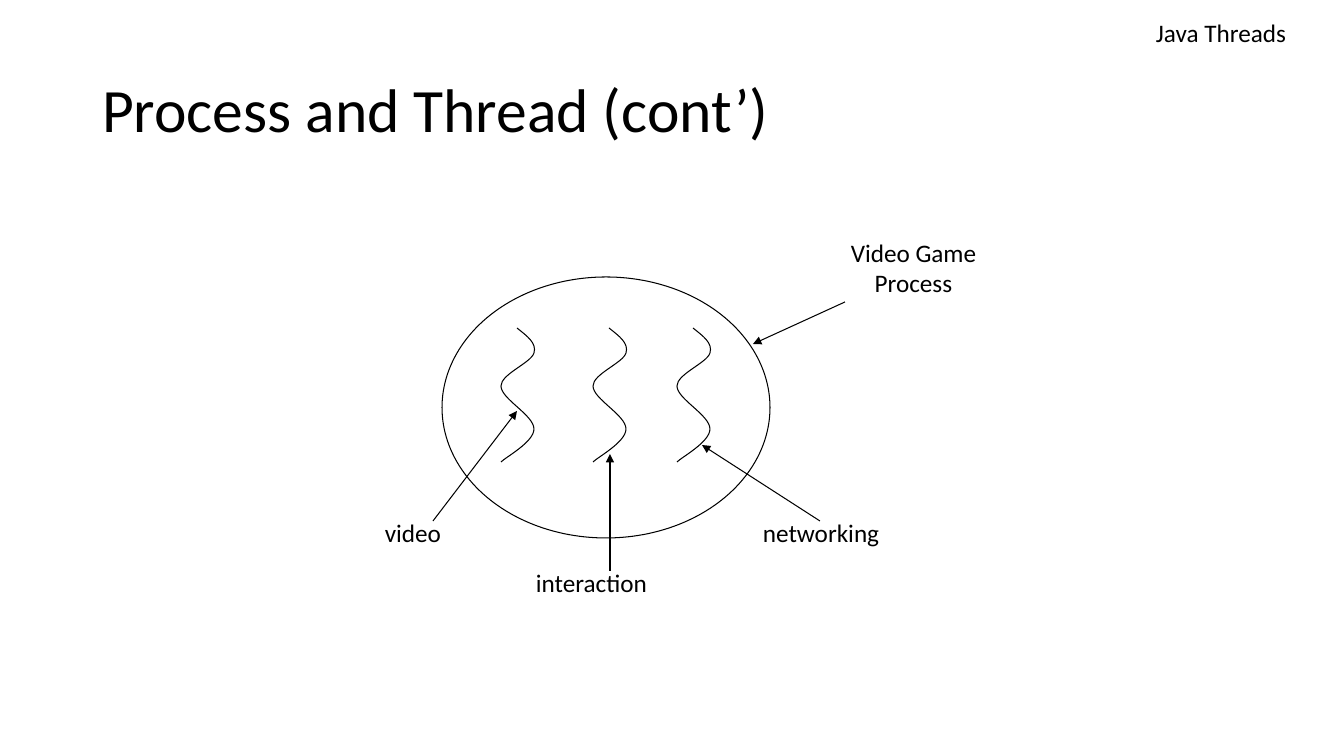
from lxml import etree
from pptx import Presentation
from pptx.dml.color import RGBColor
from pptx.enum.shapes import MSO_CONNECTOR, MSO_SHAPE
from pptx.enum.text import MSO_ANCHOR, MSO_AUTO_SIZE, PP_ALIGN
from pptx.oxml.ns import qn
from pptx.util import Pt

SCALE = 914400 / 100.8
COLORS = {"ink": "000000", "paper": "FFFFFF"}
FONT = "Calibri"
LEFT, CENTER = PP_ALIGN.LEFT, PP_ALIGN.CENTER
MIDDLE = MSO_ANCHOR.MIDDLE
NO_FIT = MSO_AUTO_SIZE.NONE
STRAIGHT = MSO_CONNECTOR.STRAIGHT
OVAL = MSO_SHAPE.OVAL

THREAD_TOP = 328
THREAD_LEFTS = (501, 593, 677)
THREAD_CURVE = (
    (16, 0),
    (26, 8), (36, 15), (33, 25),
    (30, 35), (0, 46), (0, 58),
    (0, 71), (33, 87), (33, 101),
    (33, 114), (5, 129), (0, 134),
)
LABELS = (
    (("video",), (375, 512, 95, 50), LEFT),
    (("interaction",), (526, 562, 163, 50), LEFT),
    (("networking",), (753, 512, 173, 50), LEFT),
    (("Video Game", "Process"), (818, 232, 191, 91), CENTER),
    (("Java Threads",), (1146, 12, 156, 40), LEFT),
)
ARROWS = (
    ((433, 521), (517, 411)),
    ((610, 571), (610, 454)),
    ((820, 521), (702, 445)),
    ((845, 302), (753, 344)),
)


def emu(*pixels):
    """Turn pixel lengths into a list of EMU lengths."""
    return [round(pixel * SCALE) for pixel in pixels]


def color(name):
    """Look up a named colour."""
    return RGBColor.from_string(COLORS[name])


def style_paragraph(para, size, align):
    """Set the font and alignment of a paragraph."""
    para.alignment = align
    para.font.name = FONT
    para.font.size = Pt(size)
    para.font.color.rgb = color("ink")


def style_line(shape):
    """Give a shape or connector a thin dark line."""
    shape.line.color.rgb = color("ink")
    shape.line.width = Pt(0.75)


def set_title(page, text, area):
    """Place and format the title placeholder."""
    title = page.shapes.title
    title.left, title.top, title.width, title.height = emu(*area)
    frame = title.text_frame
    frame.text = text
    frame.auto_size = NO_FIT
    frame.vertical_anchor = MIDDLE
    para = frame.paragraphs[0]
    para.line_spacing = 0.9
    style_paragraph(para, 44, LEFT)


def add_label(page, lines, area, align):
    """Add a text box with one paragraph per line."""
    frame = page.shapes.add_textbox(*emu(*area)).text_frame
    frame.word_wrap = True
    frame.text = "\n".join(lines)
    for para in frame.paragraphs:
        style_paragraph(para, 18, align)


def add_process(page, area):
    """Add the outlined ellipse that stands for the process."""
    process = page.shapes.add_shape(OVAL, *emu(*area))
    process.shadow.inherit = False
    process.fill.background()
    style_line(process)


def add_thread(page, left):
    """Add a wavy thread made of cubic curves."""
    points = [emu(left + x, THREAD_TOP + y) for x, y in THREAD_CURVE]
    builder = page.shapes.build_freeform(*points[0])
    builder.add_line_segments(points[1:], close=False)
    thread = builder.convert_to_shape()
    thread.shadow.inherit = False
    thread.fill.background()
    style_line(thread)
    outline = next(thread.element.iter(qn("a:path")))
    segments = outline.findall(qn("a:lnTo"))
    for start in range(0, len(segments), 3):
        curve = etree.SubElement(outline, qn("a:cubicBezTo"))
        for segment in segments[start:start + 3]:
            curve.append(segment[0])
            outline.remove(segment)


def add_arrow(page, start, end):
    """Add a straight connector with a triangle at its end."""
    arrow = page.shapes.add_connector(STRAIGHT, *emu(*start, *end))
    style_line(arrow)
    line = arrow.line._get_or_add_ln()
    etree.SubElement(line, qn("a:tailEnd"), type="triangle")
    etree.SubElement(arrow.element.spPr, qn("a:effectLst"))


def main():
    """Build the slide and save it."""
    deck = Presentation()
    deck.slide_width, deck.slide_height = emu(1344, 756)
    page = deck.slides.add_slide(deck.slide_layouts[5])
    page.background.fill.solid()
    page.background.fill.fore_color.rgb = color("paper")
    set_title(page, "Process and Thread (cont’)", (92, 40, 1159, 146))
    add_process(page, (442, 277, 328, 261))
    for left in THREAD_LEFTS:
        add_thread(page, left)
    for lines, area, align in LABELS:
        add_label(page, lines, area, align)
    for start, end in ARROWS:
        add_arrow(page, start, end)
    deck.save("out.pptx")


main()
